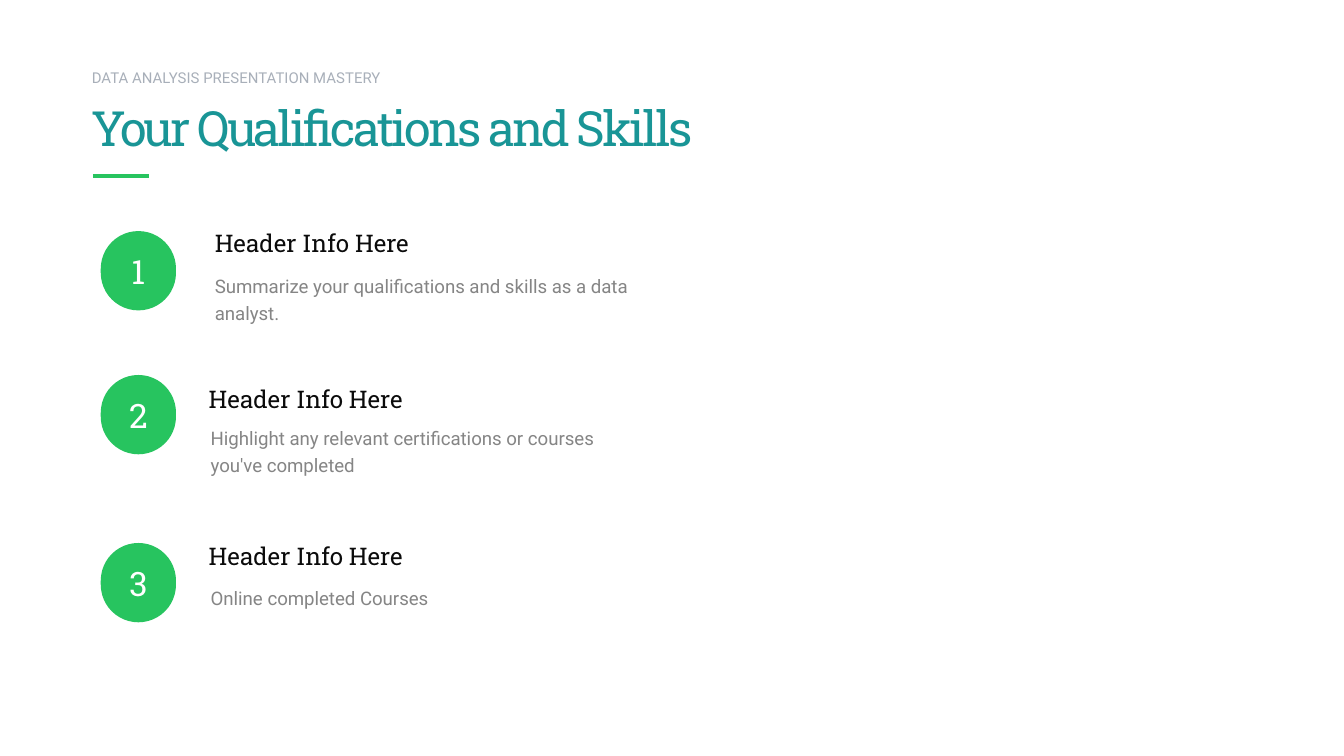
from dataclasses import dataclass

from lxml.etree import SubElement
from pptx import Presentation
from pptx.dml.color import RGBColor
from pptx.enum.shapes import MSO_CONNECTOR, MSO_SHAPE
from pptx.enum.text import MSO_ANCHOR, PP_ALIGN
from pptx.oxml.ns import qn
from pptx.util import Pt


@dataclass(frozen=True)
class Theme:
    slab: str = "Roboto Slab"
    sans: str = "Roboto"
    green: str = "27C45F"
    teal: str = "199596"
    black: str = "0B0B0B"
    gray: str = "858585"
    pale: str = "A8AFB9"
    white: str = "FFFFFF"
    title: float = 26
    badge: float = 18
    head: float = 13
    body: float = 10
    label: float = 8


THEME = Theme()

# number, badge top, header (left, top), body (left, top, height), body text
ROWS = [
    ("1", 123.8, (108, 118.8), (108, 140.8, 37.4),
     "Summarize your qualifications and skills as a data analyst."),
    ("2", 200.9, (104.7, 202.3), (105.8, 220.3, 41),
     "Highlight any relevant certifications or courses you've completed"),
    ("3", 290.9, (104.7, 286.6), (105.8, 303.1, 32.4),
     "Online... completed Courses".replace("...", "")),
]


def write(shape, text, size, face, color, anchor=MSO_ANCHOR.TOP):
    """Fill a shape with one styled paragraph and return that paragraph."""
    frame = shape.text_frame
    frame.text = text
    frame.word_wrap = True
    frame.vertical_anchor = anchor
    line = frame.paragraphs[0]
    line.alignment = PP_ALIGN.LEFT
    font = line.runs[0].font
    font.size = Pt(size)
    font.name = face
    font.color.rgb = RGBColor.from_string(color)
    return line


def add_text(slide, box, *style):
    return write(slide.shapes.add_textbox(*map(Pt, box)), *style)


def add_title(slide, text):
    title = slide.shapes.title
    title.left, title.top, title.width, title.height = map(
        Pt, (41.8, 34.2, 600, 67.7))
    line = write(title, text, THEME.title, THEME.slab, THEME.teal,
                 MSO_ANCHOR.MIDDLE)
    line.runs[0].font._element.set("spc", "-150")


def add_rule(slide):
    rule = slide.shapes.add_connector(
        MSO_CONNECTOR.STRAIGHT, Pt(49.8), Pt(94.4), Pt(79.9), Pt(94.4))
    rule.line.color.rgb = RGBColor.from_string(THEME.green)
    rule.line.width = Pt(2)
    SubElement(rule._element.spPr, qn("a:effectLst"))


def add_badge(slide, top, text):
    badge = slide.shapes.add_shape(
        MSO_SHAPE.ROUNDED_RECTANGLE, Pt(54), Pt(top), Pt(40.3), Pt(42.5))
    badge.adjustments[0] = 0.5
    badge.shadow.inherit = False
    badge.fill.solid()
    badge.fill.fore_color.rgb = RGBColor.from_string(THEME.green)
    badge.line.fill.background()
    line = write(badge, text, THEME.badge, THEME.slab, THEME.white,
                 MSO_ANCHOR.MIDDLE)
    line.alignment = PP_ALIGN.CENTER
    badge.text_frame.word_wrap = False


def add_row(slide, number, top, head, body, text):
    add_badge(slide, top, number)
    add_text(slide, (*head, 135.4, 23), "Header Info Here",
             THEME.head, THEME.slab, THEME.black)
    left, y, high = body
    line = add_text(slide, (left, y, 239.8, high), text,
                    THEME.body, THEME.sans, THEME.gray, MSO_ANCHOR.MIDDLE)
    line.line_spacing = 1.2


def main():
    deck = Presentation()
    deck.slide_width, deck.slide_height = Pt(720), Pt(405)
    slide = deck.slides.add_slide(deck.slide_layouts[5])
    add_title(slide, "Your Qualifications and Skills")
    add_text(slide, (42.1, 33.1, 396, 25.2),
             "DATA ANALYSIS PRESENTATION MASTERY",
             THEME.label, THEME.sans, THEME.pale)
    add_rule(slide)
    for row in ROWS:
        add_row(slide, *row)
    deck.save("out.pptx")


if __name__ == "__main__":
    main()
